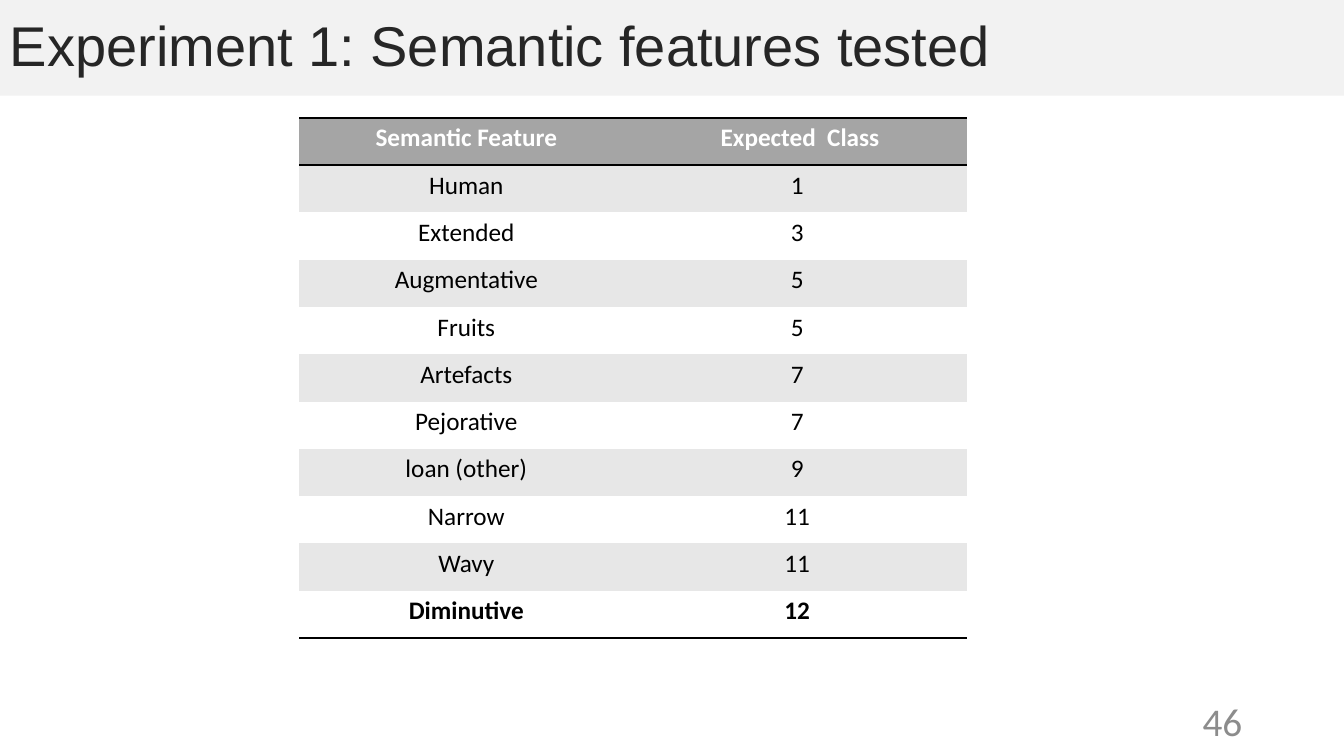
from lxml.etree import SubElement
from pptx import Presentation
from pptx.dml.color import RGBColor
from pptx.enum.shapes import MSO_SHAPE as Shape
from pptx.enum.text import MSO_ANCHOR as Anchor, PP_ALIGN as Align
from pptx.oxml.ns import qn
from pptx.util import Inches, Pt

# Content
TITLE = "Experiment 1: Semantic features tested"
PAGE_NUMBER = "46"
HEADINGS = ("Semantic Feature", "Expected  Class")
FEATURE_CLASSES = [
    ("Human", 1),
    ("Extended", 3),
    ("Augmentative", 5),
    ("Fruits", 5),
    ("Artefacts", 7),
    ("Pejorative", 7),
    ("loan (other)", 9),
    ("Narrow", 11),
    ("Wavy", 11),
    ("Diminutive", 12),
]

THEME = {
    "title_font": "Arial", "body_font": "Calibri",
    "title_size": 40, "table_size": 18, "number_size": 28,
    "title_text": "262626", "band": "F2F2F2", "number": "8C8C8C",
    "heading_text": "FFFFFF", "heading_fill": "A5A5A5",
    "text": "000000", "rule": "000000", "rule_width": 2,
    "row_fills": ("E7E7E7", "FFFFFF"),
    "no_style": "{2D5ABB26-0587-4C30-8999-92F81FD0307C}",
}


def write(frame, text, *, size, color, font=THEME["body_font"], bold=False,
          align=Align.LEFT, anchor=Anchor.MIDDLE, line_spacing=None):
    frame.word_wrap = True
    frame.vertical_anchor = anchor
    paragraph = frame.paragraphs[0]
    paragraph.alignment = align
    paragraph.line_spacing = line_spacing
    run = paragraph.add_run()
    run.text = text
    run.font.name, run.font.size, run.font.bold = font, Pt(size), bold
    run.font.color.rgb = RGBColor.from_string(color)


def paint(fill, color):
    fill.solid()
    fill.fore_color.rgb = RGBColor.from_string(color)


def add_rule(cell, side):
    line = SubElement(cell._tc.get_or_add_tcPr(), qn(f"a:{side}"),
                      w=str(Pt(THEME["rule_width"])))
    color = SubElement(line, qn("a:solidFill"))
    SubElement(color, qn("a:srgbClr"), val=THEME["rule"])


deck = Presentation()
deck.slide_width, deck.slide_height = Inches(13.33), Inches(7.5)
slide = deck.slides.add_slide(deck.slide_layouts[6])

# Feature table
rows = [HEADINGS] + [(feature, f"{number} ") for feature, number in FEATURE_CLASSES]
table = slide.shapes.add_table(len(rows), len(HEADINGS), Inches(2.97), Inches(1.17),
                               Inches(6.62), Inches(5.16)).table
table.horz_banding = False
table._tbl.tblPr.find(qn("a:tableStyleId")).text = THEME["no_style"]

last = len(rows) - 1
for r, row in enumerate(rows):
    heading = r == 0
    for c, text in enumerate(row):
        cell = table.cell(r, c)
        if heading:
            add_rule(cell, "lnT")
        if r in (0, last):
            add_rule(cell, "lnB")
        paint(cell.fill, THEME["heading_fill"] if heading
              else THEME["row_fills"][(r - 1) % 2])
        write(cell.text_frame, text, size=THEME["table_size"], align=Align.CENTER,
              color=THEME["heading_text" if heading else "text"],
              bold=r in (0, last), anchor=Anchor.TOP)

# Title band
title_band = slide.shapes.add_shape(Shape.RECTANGLE, 0, 0, deck.slide_width, Inches(0.95))
title_band.shadow.inherit = False
title_band.line.fill.background()
paint(title_band.fill, THEME["band"])
write(title_band.text_frame, TITLE, size=THEME["title_size"], font=THEME["title_font"],
      color=THEME["title_text"], line_spacing=0.9)

# Page number
page_number = slide.shapes.add_textbox(Inches(9.42), Inches(6.95), Inches(3), Inches(0.4))
write(page_number.text_frame, PAGE_NUMBER, size=THEME["number_size"],
      color=THEME["number"], align=Align.RIGHT)

deck.save("out.pptx")
